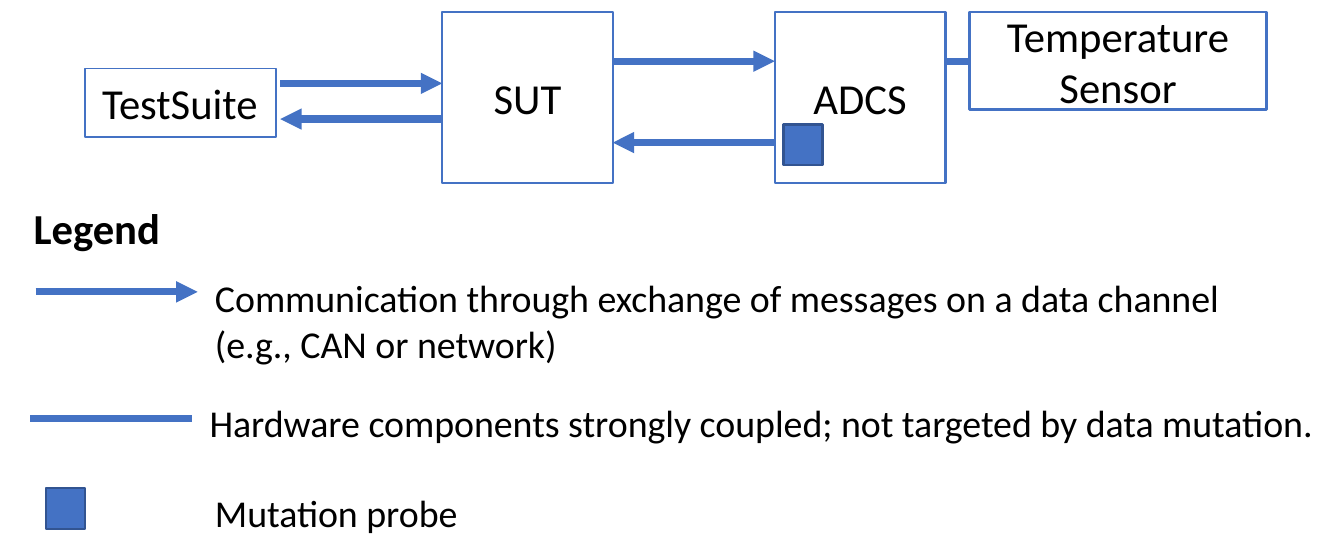
from lxml import etree
from pptx import Presentation
from pptx import util as u
from pptx.dml.color import RGBColor
from pptx.enum import shapes, text
from pptx.oxml import ns

BLUE = RGBColor(0x44, 0x72, 0xC4)
NAVY = RGBColor(0x32, 0x54, 0x91)
BLACK = RGBColor(0, 0, 0)

deck = Presentation()
deck.slide_width, deck.slide_height = u.Cm(20), u.Cm(8)
slide = deck.slides.add_slide(deck.slide_layouts[6])
items = slide.shapes


def write(shape, words, size=18, bold=False, wrap=False, align=text.PP_ALIGN.LEFT,
          anchor=text.MSO_ANCHOR.TOP):
    """Fill a shape with formatted text, one paragraph per entry in words."""
    frame = shape.text_frame
    frame.word_wrap = wrap
    frame.vertical_anchor = anchor
    for i, line in enumerate(words):
        para = frame.add_paragraph() if i else frame.paragraphs[0]
        para.text = line
        para.alignment = align
        font = para.font
        font.name, font.size, font.bold = "Calibri", u.Pt(size), bold
        font.color.rgb = BLACK


def draw(left, top, width, height, fill=None, edge=BLUE, weight=1):
    """Add a plain outlined rectangle, sized in centimetres."""
    box = items.add_shape(shapes.MSO_SHAPE.RECTANGLE,
                          *map(u.Cm, (left, top, width, height)))
    box.shadow.inherit = False
    if fill is None:
        box.fill.background()
    else:
        box.fill.solid()
        box.fill.fore_color.rgb = fill
    box.line.color.rgb = edge
    box.line.width = u.Pt(weight)
    return box


# Components
SIDE, TOP = 2.54, 0.18
SUT, ADCS, SENSOR = 6.58, 11.53, 14.43
for left, width, height, words in [
    (SUT, SIDE, SIDE, ["SUT"]),
    (ADCS, SIDE, SIDE, ["ADCS"]),
    (SENSOR, 4.42, 1.45, ["Temperature", "Sensor"]),
]:
    write(draw(left, TOP, width, height), words, wrap=True,
          align=text.PP_ALIGN.CENTER, anchor=text.MSO_ANCHOR.MIDDLE)
write(draw(1.27, 1.02, 2.84, 1.02, weight=0.75), ["TestSuite"])

# Mutation probes: on the ADCS and in the legend
for left, top in [(11.66, 1.85), (0.69, 7.26)]:
    draw(left, top, 0.58, 0.61, fill=BLUE, edge=NAVY)

# Data channels have an arrowhead, hardware couplings have none
SPAN = 2.41
for start, end, y, head in [
    (SUT - SPAN, SUT, 1.24, True),
    (SUT, SUT - SPAN, 1.77, True),
    (SUT + SIDE, ADCS, 0.91, True),
    (ADCS, SUT + SIDE, 2.12, True),
    (ADCS + SIDE, SENSOR, 0.91, False),
    (0.53, 0.53 + SPAN, 4.34, True),
    (0.45, 0.45 + SPAN, 6.22, False),
]:
    link = items.add_connector(shapes.MSO_CONNECTOR.STRAIGHT,
                               *map(u.Cm, (start, y, end, y)))
    link.line.color.rgb = BLUE
    link.line.width = u.Pt(3)
    if head:
        etree.SubElement(link.line._get_or_add_ln(), ns.qn("a:tailEnd"),
                         type="triangle")
    etree.SubElement(link._element.spPr, ns.qn("a:effectLst"))

# Legend
for left, top, width, height, size, bold, words in [
    (0.25, 2.87, 2.39, 1.02, 18, True, "Legend"),
    (2.95, 3.96, 15.77, 1.63, 16, False,
     "Communication through exchange of messages on a data channel \n"
     "(e.g., CAN or network)"),
    (2.87, 5.82, 17.02, 0.94, 16, False,
     "Hardware components strongly coupled; not targeted by data mutation."),
    (2.95, 7.16, 4.17, 0.94, 16, False, "Mutation probe"),
]:
    label = items.add_textbox(*map(u.Cm, (left, top, width, height)))
    write(label, [words], size=size, bold=bold)

deck.save("out.pptx")
